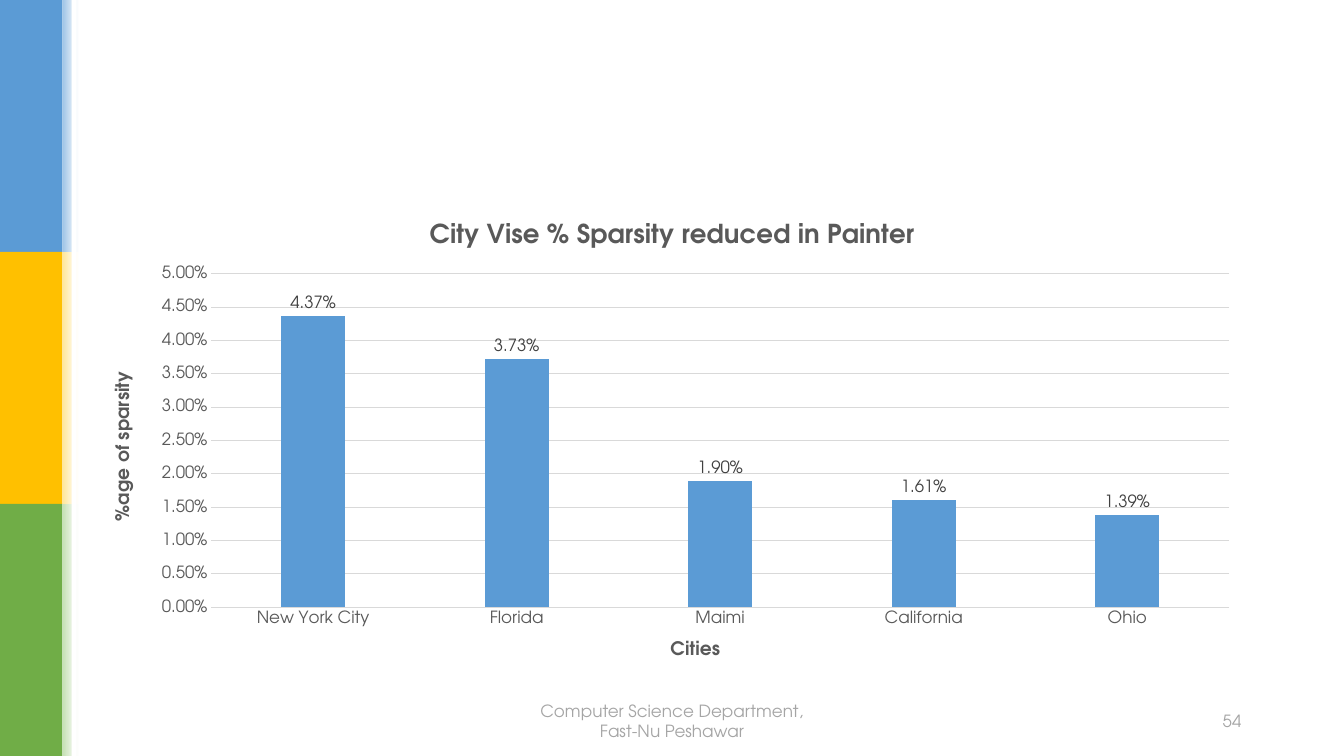
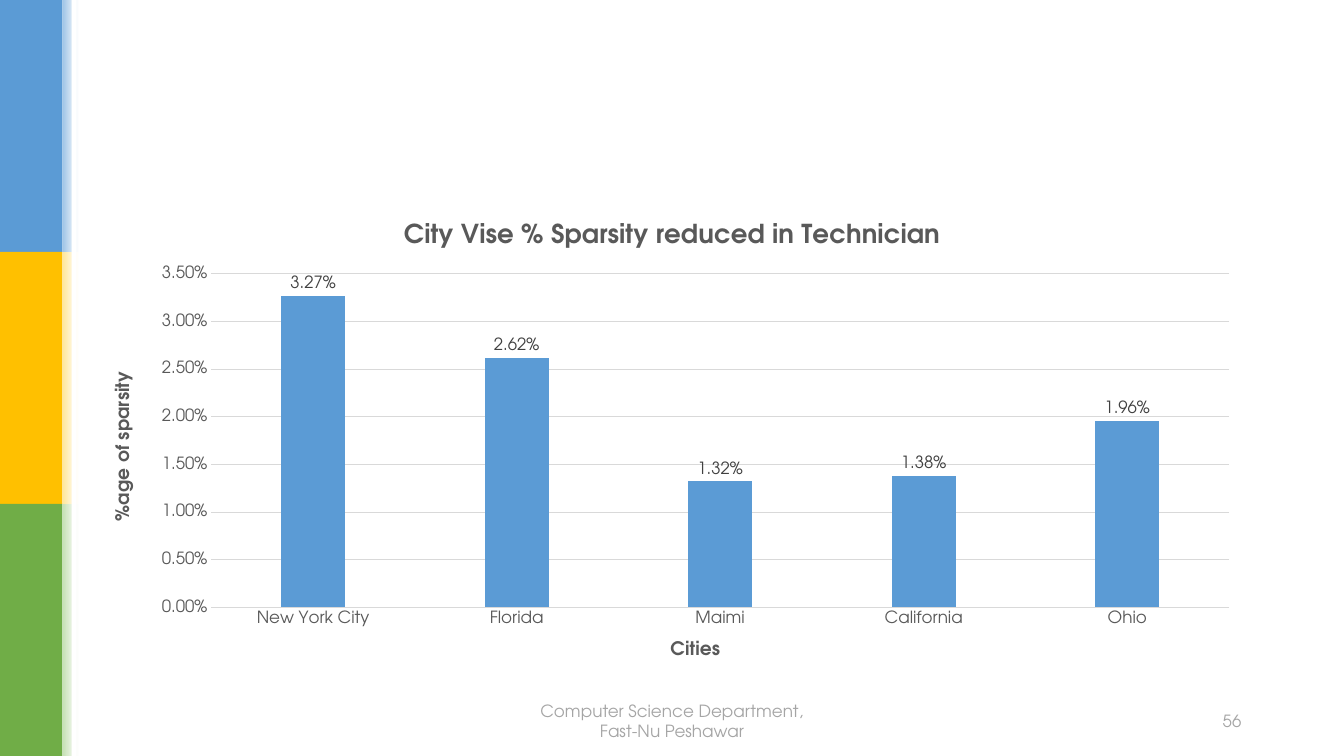
from pptx import Presentation
from pptx.chart.data import CategoryChartData
from pptx.dml.color import RGBColor
from pptx.enum.chart import XL_CHART_TYPE as ChartType
from pptx.enum.chart import XL_LABEL_POSITION as LabelPosition
from pptx.enum.chart import XL_TICK_MARK as TickMark
from pptx.enum.shapes import MSO_SHAPE as Shape
from pptx.enum.text import MSO_ANCHOR as Anchor
from pptx.enum.text import PP_ALIGN as Align
from pptx.util import Pt

PX = 9144  # 100 px to the inch
WIDTH, HEIGHT = 1333, 750
FONT = "TeX Gyre Adventor"
COLORS = {
    "blue": "5B9BD5", "yellow": "FFC000", "green": "70AD47",
    "light_blue": "9DC3E6", "light_yellow": "FFE699", "light_green": "C5E0B4",
    "white": "FFFFFF", "axis_text": "595959", "label_text": "404040",
    "grid": "D9D9D9", "footer_text": "A5A5A5",
}
CHART_BOX = (92, 200, 1150, 476)
FOOTER_BOX = (508, 695, 317, 40)
NUMBER_BOX = (883, 695, 358, 40)
FOOTER = "Computer Science Department, Fast-Nu Peshawar"
CITIES = ("New York City", "Florida", "Maimi", "California", "Ohio")
CHARTS = (
    {"trade": "Painter", "number": 54, "top": 0.05,
     "values": (0.0437, 0.0373, 0.019, 0.0161, 0.0139)},
    {"trade": "Technician", "number": 56, "top": 0.035,
     "values": (0.0327, 0.0262, 0.0132, 0.0138, 0.0196)},
)


def rgb(name):
    return RGBColor.from_string(COLORS[name])


def emu(box):
    return [length * PX for length in box]


def style_font(font, size, color, bold=False):
    font.name, font.size, font.bold = FONT, Pt(size), bold
    font.color.rgb = rgb(color)


def write_text(frame, text, size=12, color="axis_text", bold=False, align=Align.CENTER):
    paragraph = frame.paragraphs[0]
    paragraph.alignment = align
    run = paragraph.add_run()
    run.text = text
    style_font(run.font, size, color, bold)


def add_rectangle(slide, box, color, fade=False):
    shape = slide.shapes.add_shape(Shape.RECTANGLE, *emu(box))
    shape.shadow.inherit = False
    shape.line.fill.background()
    if fade:
        shape.fill.gradient()
        shape.fill.gradient_angle = 0
        for stop, name in zip(shape.fill.gradient_stops, (color, "white")):
            stop.color.rgb = rgb(name)
    else:
        shape.fill.solid()
        shape.fill.fore_color.rgb = rgb(color)
    return shape


def add_side_bands(slide, box):
    """Three stacked bands, each with a fading edge, and a white strip."""
    left, top, width, height = box
    band_height = height // 3
    shapes = []
    for row, color in enumerate(("blue", "yellow", "green")):
        y = top + row * band_height
        shapes.append(add_rectangle(slide, (left, y, width, band_height), color))
        edge = (left + width, y, 16, band_height)
        shapes.append(add_rectangle(slide, edge, "light_" + color, fade=True))
    shapes.append(add_rectangle(slide, (left + width + 9, top, 5, height), "white"))
    return shapes


def add_text_box(slide, box, text, **text_format):
    frame = slide.shapes.add_textbox(*emu(box)).text_frame
    frame.word_wrap = True
    frame.vertical_anchor = Anchor.MIDDLE
    write_text(frame, text, color="footer_text", **text_format)


def style_axis(axis, title):
    axis.major_tick_mark = axis.minor_tick_mark = TickMark.NONE
    style_font(axis.tick_labels.font, 12, "axis_text")
    write_text(axis.axis_title.text_frame, title, size=13.3, bold=True)


def add_sparsity_chart(slide, box, trade, values, top):
    data = CategoryChartData(number_format="0.00%")
    data.categories = CITIES
    data.add_series("Series 1", values)
    frame = slide.shapes.add_chart(ChartType.COLUMN_CLUSTERED, *emu(box), data)
    chart = frame.chart
    chart.has_legend = False
    chart.font.name, chart.font.size = FONT, Pt(10)
    title = f"City Vise % Sparsity reduced in {trade}"
    write_text(chart.chart_title.text_frame, title, size=18.6, bold=True)

    # Axes
    cities, sparsity = chart.category_axis, chart.value_axis
    style_axis(cities, "Cities")
    style_axis(sparsity, "%age of sparsity")
    body = sparsity.axis_title.element.xpath(".//a:bodyPr")[0]
    body.set("rot", "-5400000")
    body.set("vert", "horz")
    sparsity.minimum_scale, sparsity.maximum_scale = 0, top
    sparsity.major_unit = 0.005
    sparsity.tick_labels.number_format = "0.00%"
    sparsity.tick_labels.number_format_is_linked = False
    sparsity.format.line.fill.background()
    for line in (cities.format.line, sparsity.major_gridlines.format.line):
        line.color.rgb = rgb("grid")
        line.width = Pt(0.75)

    # Columns and their labels
    plot = chart.plots[0]
    plot.gap_width, plot.overlap, plot.vary_by_categories = 219, -27, False
    fill = plot.series[0].format.fill
    fill.solid()
    fill.fore_color.rgb = rgb("blue")
    labels = plot.series[0].data_labels
    labels.show_value = True
    labels.position = LabelPosition.OUTSIDE_END
    labels.number_format, labels.number_format_is_linked = "0.00%", False
    style_font(labels.font, 12, "label_text")


def add_chart_slide(presentation, layout, trade, values, top, number):
    slide = presentation.slides.add_slide(layout)
    add_sparsity_chart(slide, CHART_BOX, trade, values, top)
    add_text_box(slide, FOOTER_BOX, FOOTER)
    add_text_box(slide, NUMBER_BOX, str(number), align=Align.RIGHT)
    return slide


def main():
    presentation = Presentation()
    presentation.slide_width, presentation.slide_height = emu((WIDTH, HEIGHT))
    layout = presentation.slide_layouts[6]
    slides = [add_chart_slide(presentation, layout, **chart) for chart in CHARTS]
    # The bands belong to the layout, so that every slide shares them
    for shape in add_side_bands(slides[0], (0, 0, 62, HEIGHT)):
        layout.shapes.element.append(shape.element)
    presentation.save("out.pptx")


if __name__ == "__main__":
    main()
